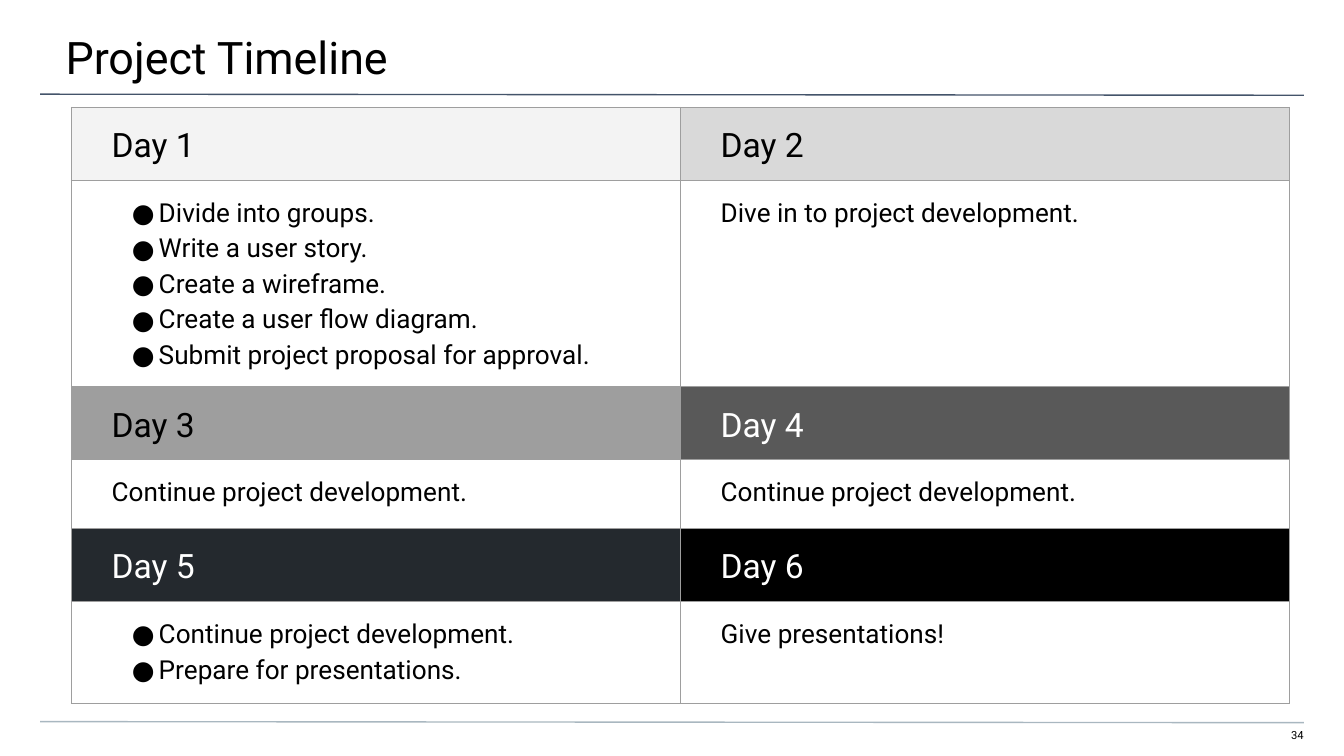
from dataclasses import dataclass

from lxml.etree import SubElement
from pptx import Presentation
from pptx.dml.color import RGBColor as RGB
from pptx.enum.shapes import MSO_CONNECTOR as CONN
from pptx.enum.text import MSO_ANCHOR as ANCHOR, PP_ALIGN as ALIGN
from pptx.oxml.ns import qn
from pptx.util import Cm, Pt


@dataclass(frozen=True)
class Theme:
    font: str = "Roboto"
    black: str = "000000"
    white: str = "FFFFFF"
    border: str = "9E9E9E"
    top_rule: str = "44546A"
    bottom_rule: str = "A9B7C0"
    title: int = 24
    heading: int = 18
    body: int = 14
    number: int = 6
    line: float = 0.75


THEME = Theme()

# Each day: heading, heading fill, heading text colour, items
DAYS = [
    ("Day 1", "F3F3F3", THEME.black, [
        "Divide into groups.", "Write a user story.", "Create a wireframe.",
        "Create a user flow diagram.", "Submit project proposal for approval."]),
    ("Day 2", "D9D9D9", THEME.black, ["Dive in to project development."]),
    ("Day 3", "9E9E9E", THEME.black, ["Continue project development."]),
    ("Day 4", "595959", THEME.white, ["Continue project development."]),
    ("Day 5", "24292E", THEME.white, [
        "Continue project development.", "Prepare for presentations."]),
    ("Day 6", "000000", THEME.white, ["Give presentations!"]),
]
COLUMNS = 2
ROW_HEIGHTS = [1.17, 1.93, 1.04, 1.3, 1.07, 1.93]
CELL_MARGINS = {"margin_left": Cm(0.76), "margin_right": Cm(0.25),
                "margin_top": Cm(0.25), "margin_bottom": Cm(0.25)}


def set_all(obj, values):
    for name, value in values.items():
        setattr(obj, name, value)


def write(p, text, size, color):
    r = p.add_run()
    r.text = text
    set_all(r.font, {"name": THEME.font, "size": Pt(size)})
    r.font.color.rgb = RGB.from_string(color)


def add_text(slide, box, margins, text, size, align=ALIGN.LEFT):
    """Add a one-line text box; margins run left, top, right, bottom."""
    tf = slide.shapes.add_textbox(*map(Cm, box)).text_frame
    set_all(tf, {"word_wrap": True, "vertical_anchor": ANCHOR.TOP})
    sides = ("margin_left", "margin_top", "margin_right", "margin_bottom")
    set_all(tf, dict(zip(sides, map(Cm, margins))))
    p = tf.paragraphs[0]
    p.alignment = align
    write(p, text, size, THEME.black)


def add_rule(slide, y, color):
    sp = slide.shapes.add_connector(
        CONN.STRAIGHT, Cm(0.76), Cm(y), Cm(24.64), Cm(y + 0.02))
    sp.line.color.rgb = RGB.from_string(color)
    sp.line.width = Pt(THEME.line)
    SubElement(sp._element.spPr, qn("a:effectLst"))


def add_bullet(p):
    pPr = p._p.get_or_add_pPr()
    pPr.set("marL", str(Cm(0.89)))
    pPr.set("indent", str(-Cm(0.51)))
    color = SubElement(pPr, qn("a:buClr"))
    SubElement(color, qn("a:srgbClr"), val=THEME.black)
    SubElement(pPr, qn("a:buFont"), typeface=THEME.font)
    SubElement(pPr, qn("a:buChar"), char="●")


def add_borders(cell):
    tcPr = cell._tc.get_or_add_tcPr()
    for side in ("lnL", "lnR", "lnT", "lnB"):
        ln = SubElement(tcPr, qn(f"a:{side}"), w=str(Pt(THEME.line)))
        fill = SubElement(ln, qn("a:solidFill"))
        SubElement(fill, qn("a:srgbClr"), val=THEME.border)


def fill_cell(cell, lines, size, color, fill=None):
    """Write the lines, bulleted when there are several, and style the cell."""
    set_all(cell, CELL_MARGINS)
    add_borders(cell)
    if fill:
        cell.fill.solid()
        cell.fill.fore_color.rgb = RGB.from_string(fill)
    else:
        cell.fill.background()
    tf = cell.text_frame
    for i, line in enumerate(lines):
        p = tf.add_paragraph() if i else tf.paragraphs[0]
        p.line_spacing = 1.15
        if len(lines) > 1:
            add_bullet(p)
        write(p, line, size, color)


def add_timeline(slide):
    height = Cm(11.05)
    frame = slide.shapes.add_table(
        len(ROW_HEIGHTS), COLUMNS, Cm(1.35), Cm(2.03), Cm(23.02), height)
    table = frame.table
    set_all(table, {"first_row": False, "horz_banding": False})
    for row, row_height in zip(table.rows, ROW_HEIGHTS):
        row.height = Cm(row_height)
    frame.height = height
    for i, (heading, fill, color, items) in enumerate(DAYS):
        pair, col = divmod(i, COLUMNS)
        fill_cell(table.cell(2 * pair, col), [heading], THEME.heading, color, fill)
        fill_cell(table.cell(2 * pair + 1, col), items, THEME.body, THEME.black)


def main():
    prs = Presentation()
    set_all(prs, {"slide_width": Cm(25.4), "slide_height": Cm(14.29)})
    slide = prs.slides.add_slide(prs.slide_layouts[6])
    add_text(slide, (23.9, 13.77, 0.74, 0.3), (0, 0, 0, 0.25),
             "34", THEME.number, ALIGN.RIGHT)
    add_rule(slide, 1.78, THEME.top_rule)
    add_rule(slide, 13.64, THEME.bottom_rule)
    add_text(slide, (-0.03, 0, 25.48, 1.47), (1.27, 0.56, 0.76, 0.25),
             "Project Timeline", THEME.title)
    add_timeline(slide)
    prs.save("out.pptx")


if __name__ == "__main__":
    main()
